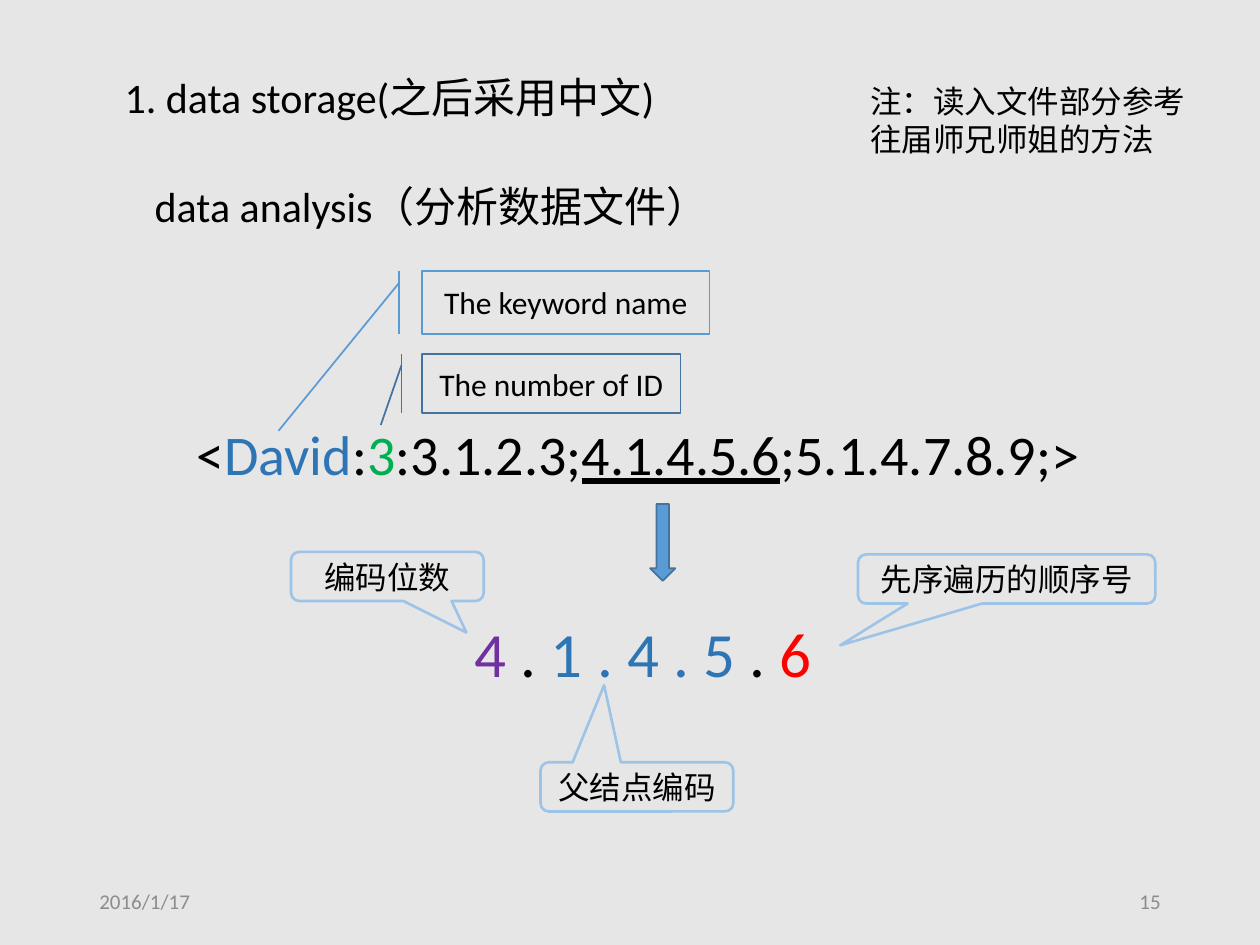
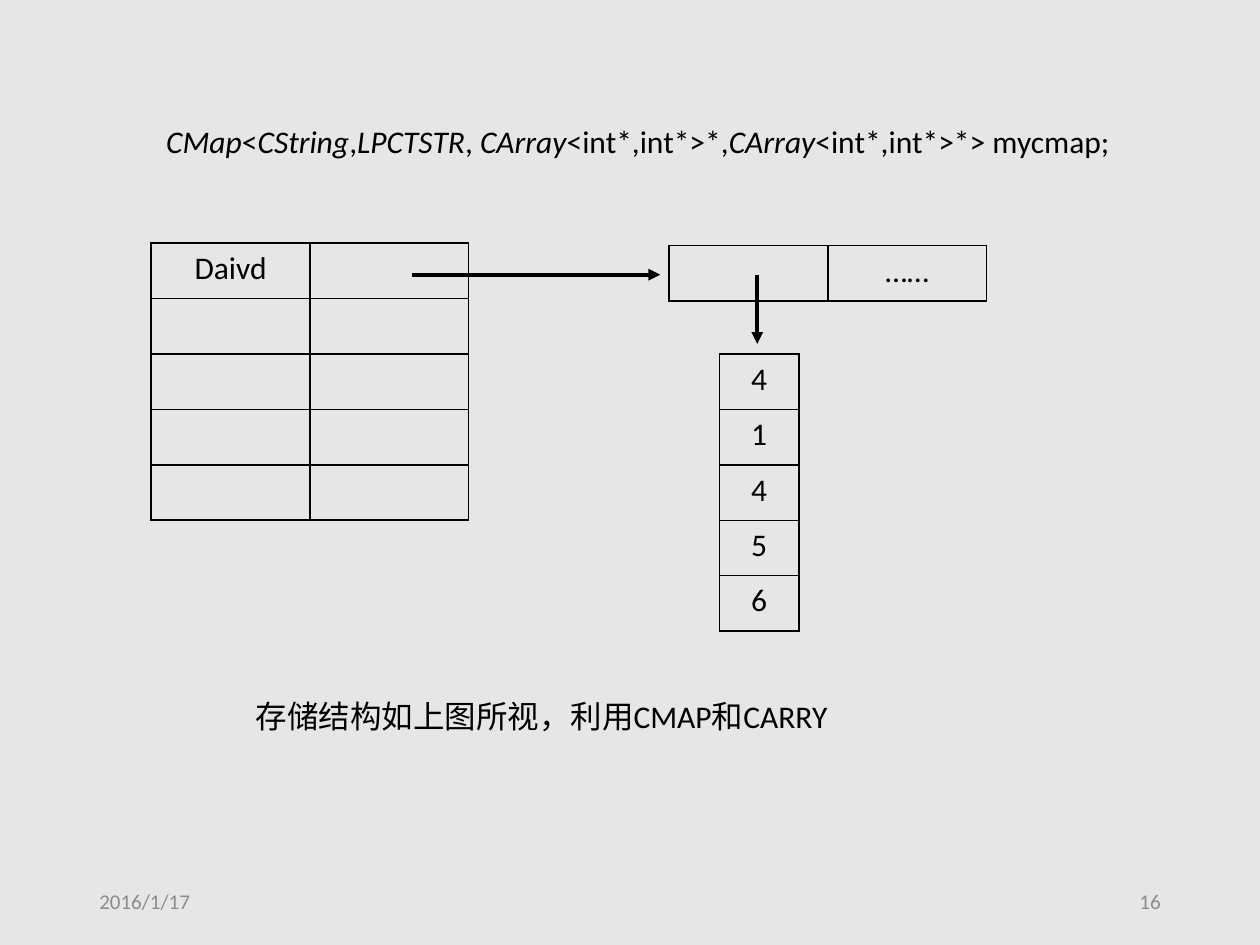
from lxml import etree
from pptx import Presentation
from pptx.dml.color import RGBColor
from pptx.enum.shapes import MSO_CONNECTOR, MSO_SHAPE
from pptx.enum.text import MSO_ANCHOR, PP_ALIGN
from pptx.oxml.ns import qn
from pptx.util import Inches, Pt

# Shared look
FONT = "Calibri"
BACKGROUND = "E7E6E6"
BLACK = "000000"
GRAY = "8C8C8C"
BLUE = "5B9BD5"
DARK_BLUE = "43739E"
LIGHT_BLUE = "9DC3E6"
TEXT_BLUE = "2E75B6"
GREEN = "00B050"
PURPLE = "7030A0"
RED = "FF0000"

LEFT, CENTER, RIGHT = PP_ALIGN.LEFT, PP_ALIGN.CENTER, PP_ALIGN.RIGHT
TOP, MIDDLE = MSO_ANCHOR.TOP, MSO_ANCHOR.MIDDLE
LINE_CALLOUT = MSO_SHAPE.LINE_CALLOUT_1_BORDER_AND_ACCENT_BAR
SPEECH_CALLOUT = MSO_SHAPE.ROUNDED_RECTANGULAR_CALLOUT
DOWN_ARROW = MSO_SHAPE.DOWN_ARROW
STRAIGHT = MSO_CONNECTOR.STRAIGHT

ROW_HEIGHT = 0.44


def color(hex_string):
    return RGBColor.from_string(hex_string)


def write(frame, content, size=18, fill=BLACK, align=LEFT, anchor=TOP, indent=0):
    """Write a string, or a list of (text, format) runs, as one paragraph."""
    frame.word_wrap = True
    frame.vertical_anchor = anchor
    paragraph = frame.paragraphs[0]
    paragraph.alignment = align
    if indent:
        properties = paragraph._p.get_or_add_pPr()
        properties.set("marL", "0")
        properties.set("indent", str(Inches(indent)))
    runs = [(content, {})] if isinstance(content, str) else content
    for text, style in runs:
        run = paragraph.add_run()
        run.text = text
        run.font.name = FONT
        run.font.size = Pt(size)
        run.font.color.rgb = color(style.get("fill", fill))
        run.font.italic = style.get("italic")
        run.font.underline = style.get("underline")


def add_text(slide, box, content, **style):
    shape = slide.shapes.add_textbox(*map(Inches, box))
    write(shape.text_frame, content, **style)


def add_shape(slide, kind, box, line, width=1, fill=None, adjustments=(), text=None):
    shape = slide.shapes.add_shape(kind, *map(Inches, box))
    shape.shadow.inherit = False
    for index, value in enumerate(adjustments):
        shape.adjustments[index] = value
    if fill:
        shape.fill.solid()
        shape.fill.fore_color.rgb = color(fill)
    else:
        shape.fill.background()
    shape.line.color.rgb = color(line)
    shape.line.width = Pt(width)
    if text:
        write(shape.text_frame, text, align=CENTER, anchor=MIDDLE)


def add_arrow(slide, start, end):
    connector = slide.shapes.add_connector(STRAIGHT, *map(Inches, start + end))
    connector.line.color.rgb = color(BLACK)
    connector.line.width = Pt(2.25)
    properties = connector._element.spPr
    etree.SubElement(properties.find(qn("a:ln")), qn("a:tailEnd"), type="triangle")
    etree.SubElement(properties, qn("a:effectLst"))


def add_borders(cell):
    properties = cell._tc.get_or_add_tcPr()
    for side in ("lnL", "lnR", "lnT", "lnB"):
        line = etree.SubElement(properties, qn(f"a:{side}"), w=str(Pt(1)))
        fill = etree.SubElement(line, qn("a:solidFill"))
        etree.SubElement(fill, qn("a:srgbClr"), val=BLACK)


def add_grid(slide, left, top, column_width, rows):
    """Draw a plain bordered table with equal cells."""
    row_count, column_count = len(rows), len(rows[0])
    size = (column_width * column_count, ROW_HEIGHT * row_count)
    table = slide.shapes.add_table(
        row_count, column_count, *map(Inches, (left, top) + size)).table
    table.first_row = table.horz_banding = False
    for row_index, row in enumerate(rows):
        for column_index, text in enumerate(row):
            cell = table.cell(row_index, column_index)
            add_borders(cell)
            cell.fill.background()
            if text:
                write(cell.text_frame, text, align=CENTER)


def add_slide(presentation, number):
    slide = presentation.slides.add_slide(presentation.slide_layouts[6])
    slide.background.fill.solid()
    slide.background.fill.fore_color.rgb = color(BACKGROUND)
    footer = {"size": 12, "fill": GRAY, "anchor": MIDDLE}
    add_text(slide, (0.69, 6.95, 2.25, 0.4), "2016/1/17", **footer)
    add_text(slide, (7.06, 6.95, 2.25, 0.4), str(number), align=RIGHT, **footer)
    return slide


def build_data_analysis(presentation):
    slide = add_slide(presentation, 15)

    # Headings and note
    add_text(slide, (0.89, 0.52, 4.44, 0.5), "1. data storage(之后采用中文)", size=24)
    add_text(slide, (0.9, 1.38, 4.87, 0.5), "data analysis（分析数据文件）",
             size=24, indent=0.23)
    add_text(slide, (6.81, 0.6, 2.76, 0.71), "注：读入文件部分参考往届师兄师姐的方法")

    # Record and its labels
    record = [
        ("<", {}), ("David", {"fill": TEXT_BLUE}), (":", {}),
        ("3", {"fill": GREEN}), (":3.1.2.3;", {}),
        ("4.1.4.5.6", {"underline": True}), (";5.1.4.7.8.9;>", {}),
    ]
    add_text(slide, (1.46, 3.28, 7.3, 0.64), record, size=32)
    add_shape(slide, LINE_CALLOUT, (3.35, 2.15, 2.28, 0.5), BLUE,
              adjustments=(0.19, -0.08, 2.54, -0.5), text="The keyword name")
    add_shape(slide, LINE_CALLOUT, (3.35, 2.81, 2.05, 0.47), DARK_BLUE,
              adjustments=(0.19, -0.08, 1.2, -0.16), text="The number of ID")
    add_shape(slide, DOWN_ARROW, (5.16, 4, 0.2, 0.61), DARK_BLUE, fill=BLUE)

    # Code and the meaning of its parts
    code = [
        ("4", {"fill": PURPLE}), (" . ", {}), ("1 . 4 . 5 ", {"fill": TEXT_BLUE}),
        (". ", {}), ("6", {"fill": RED}),
    ]
    add_text(slide, (2.35, 4.83, 5.51, 0.71), code, size=36, align=CENTER)
    code_labels = [
        ("编码位数", 2.31, 4.38, 1.53, (0.41, 1.14)),
        ("父结点编码", 4.29, 6.05, 1.53, (-0.17, -2.07)),
        ("先序遍历的顺序号", 6.81, 4.4, 2.36, (-0.56, 1.35)),
    ]
    for text, left, top, width, tip in code_labels:
        add_shape(slide, SPEECH_CALLOUT, (left, top, width, 0.39), LIGHT_BLUE,
                  width=1.5, adjustments=tip, text=text)


def build_storage_structure(presentation):
    slide = add_slide(presentation, 16)

    # Declaration
    italic = {"italic": True}
    declaration = [
        ("CMap", italic), ("<", {}), ("CString", italic), (",", {}),
        ("LPCTSTR", italic), (", ", {}), ("CArray", italic),
        ("<int*,int*>*,", {}), ("CArray", italic),
        ("<int*,int*>*> mycmap;", {}),
    ]
    add_text(slide, (1.22, 0.92, 8.09, 0.4), declaration)

    # Map, array and code, linked by arrows
    add_grid(slide, 1.2, 1.93, 1.26, [("Daivd", "")] + [("", "")] * 4)
    add_grid(slide, 5.31, 1.95, 1.26, [("", "……")])
    add_grid(slide, 5.71, 2.81, 0.63, list("41456"))
    add_arrow(slide, (3.27, 2.18), (5.24, 2.18))
    add_arrow(slide, (6.01, 2.18), (6.01, 2.73))

    # Caption
    add_text(slide, (1.93, 5.48, 7.72, 0.4), "存储结构如上图所视，利用CMAP和CARRY")


def main():
    presentation = Presentation()
    presentation.slide_width = Inches(10)
    presentation.slide_height = Inches(7.5)
    build_data_analysis(presentation)
    build_storage_structure(presentation)
    presentation.save("out.pptx")


if __name__ == "__main__":
    main()
